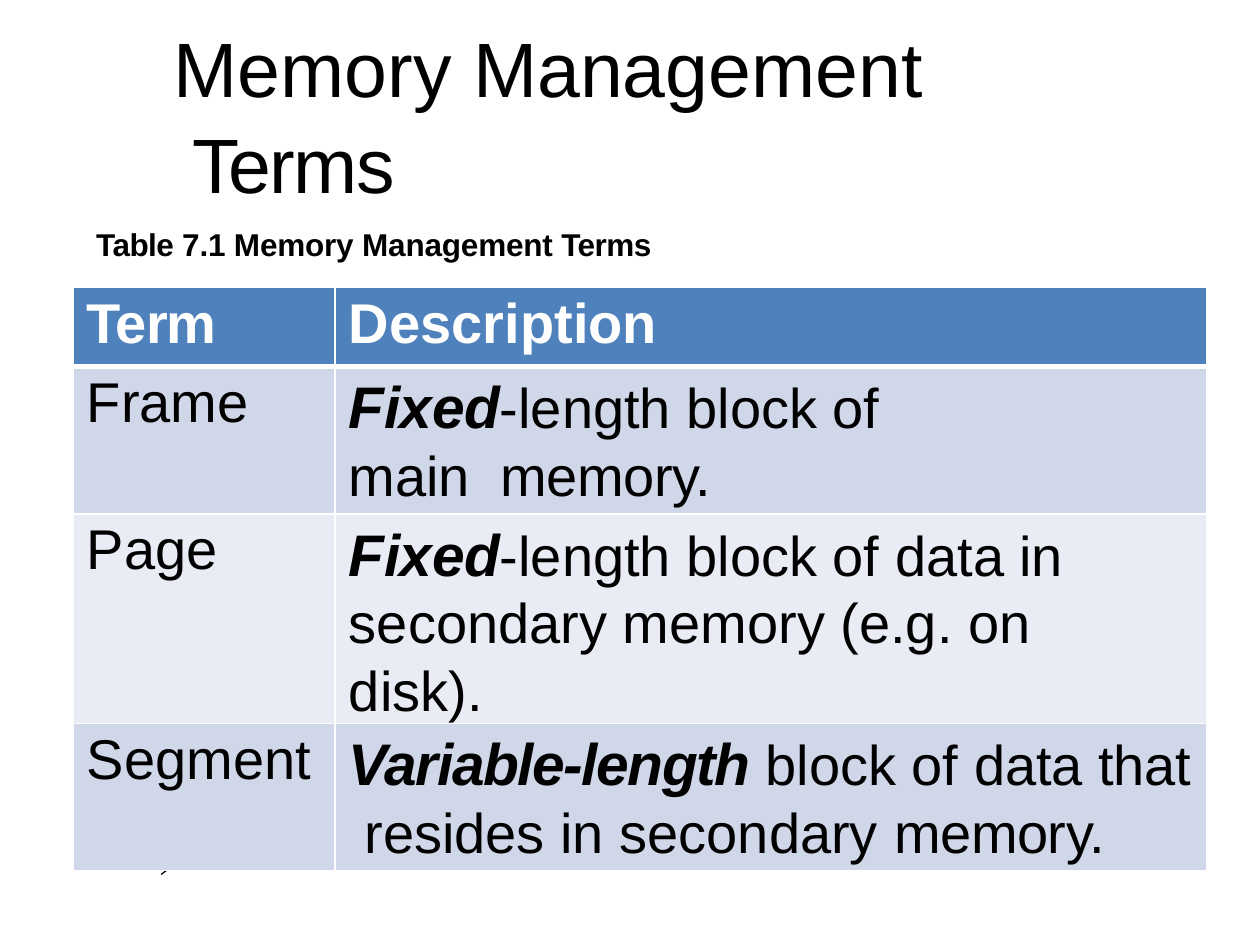
from lxml.etree import SubElement
from pptx import Presentation
from pptx.dml.color import RGBColor
from pptx.enum.text import MSO_ANCHOR, PP_ALIGN
from pptx.oxml.ns import qn
from pptx.util import Inches, Pt

BLACK = RGBColor(0, 0, 0)
WHITE = RGBColor(255, 255, 255)
HEADER_BLUE = RGBColor(0x4F, 0x81, 0xBD)
BAND_DARK = RGBColor(0xD0, 0xD7, 0xE8)
BAND_LIGHT = RGBColor(0xE9, 0xEC, 0xF4)


def add_runs(paragraph, runs, color):
    for text, size, bold, italic, spacing in runs:
        paragraph.add_line_break() if text.startswith("\n") else None
        run = paragraph.add_run()
        run.text = text.lstrip("\n")
        run.font.name = "Arial"
        run.font.size = Pt(size)
        run.font.bold = bold
        run.font.italic = italic
        run.font.color.rgb = color
        run.font._element.set("spc", str(round(spacing * 100)))


def add_text(slide, left, top, width, height, runs):
    shape = slide.shapes.add_textbox(Inches(left), Inches(top), Inches(width), Inches(height))
    frame = shape.text_frame
    frame.word_wrap = True
    frame.margin_left = frame.margin_right = frame.margin_bottom = 0
    frame.margin_top = Inches(0.01)
    paragraph = frame.paragraphs[0]
    paragraph.space_before = Pt(1)
    add_runs(paragraph, runs, BLACK)
    return frame


presentation = Presentation()
presentation.slide_width = Inches(10)
presentation.slide_height = Inches(7.5)
slide = presentation.slides.add_slide(presentation.slide_layouts[6])

curve_points = [
    (1.32, 6.91), (1.37, 6.9), (1.49, 6.9), (4.33, 6.89), (4.53, 6.86), (4.92, 6.84),
    (5.14, 6.81), (5.48, 6.78), (5.98, 6.75), (6.41, 6.73), (7.36, 6.7),
    (8.38, 6.71), (8.56, 6.74), (8.84, 6.76), (9.25, 6.78),
]
builder = slide.shapes.build_freeform(Inches(1.28), Inches(6.94))
builder.add_line_segments([(Inches(x), Inches(y)) for x, y in curve_points], close=False)
curve = builder.convert_to_shape()
curve.shadow.inherit = False
curve.fill.background()
curve.line.color.rgb = BLACK
curve.line.width = Pt(0.75)

title = add_text(slide, 1.38, 0.16, 7.24, 1.5, [
    ("Memory Management", 44, False, False, 0),
    ("\n Terms", 44, False, False, -1),
])
title.vertical_anchor = MSO_ANCHOR.BOTTOM
title.paragraphs[0].line_spacing = 1.04

rows = [
    ([("Term", 32, True, False, -0.6)], [("Description", 32, True, False, 0)], 0),
    ([("Frame", 32, False, False, 0)], [
        ("Fixed", 33.5, True, True, -0.3),
        ("-length block of ", 32, False, False, 0),
        ("main  ", 32, False, False, -0.1),
        ("memory.", 32, False, False, -0.3),
    ], 2),
    ([("Page", 32, False, False, 0)], [
        ("Fixed", 33.5, True, True, -0.3),
        ("-length block of ", 32, False, False, 0),
        ("data ", 32, False, False, -0.1),
        ("in secondary memory (e.g. on disk).", 32, False, False, 0),
    ], 0.7),
    ([("Segment", 32, False, False, 0)], [
        ("Variable-length ", 33.5, True, True, -0.8),
        ("block of ", 32, False, False, 0),
        ("data that", 32, False, False, -0.1),
        ("\n resides in secondary ", 32, False, False, 0),
        ("memory.", 32, False, False, -0.3),
    ], 0),
]
fills = [HEADER_BLUE, BAND_DARK, BAND_LIGHT, BAND_DARK]
heights = [0.63, 1.17, 1.17, 1.17]

table = slide.shapes.add_table(
    4, 2, Inches(0.58), Inches(2.28), Inches(9), Inches(sum(heights))
).table
table.columns[0].width = Inches(2.08)
table.columns[1].width = Inches(6.92)

for row_index, (term, description, right_margin) in enumerate(rows):
    table.rows[row_index].height = Inches(heights[row_index])
    for column_index, runs in enumerate((term, description)):
        is_body = row_index > 0 and column_index == 1
        cell = table.cell(row_index, column_index)
        cell.margin_left = Inches(0.11)
        cell.margin_right = Inches(right_margin) if is_body else 0
        cell.margin_top = Inches(0.06 if is_body else 0.04)
        cell.margin_bottom = 0
        paragraph = cell.text_frame.paragraphs[0]
        paragraph.space_before = Pt(4 if is_body else 2.7)
        if is_body:
            paragraph.line_spacing = Pt(38.4)
        add_runs(paragraph, runs, BLACK if row_index else WHITE)

        properties = cell._tc.get_or_add_tcPr()
        for side in ("L", "R", "T", "B"):
            heavy = (row_index, side) in ((0, "B"), (1, "T"))
            border = SubElement(properties, qn(f"a:ln{side}"), w=str(Pt(3 if heavy else 1)))
            solid = SubElement(border, qn("a:solidFill"))
            SubElement(solid, qn("a:srgbClr"), val=str(WHITE))
        cell.fill.solid()
        cell.fill.fore_color.rgb = fills[row_index]

caption = add_text(slide, 0.67, 1.78, 4.5, 0.33, [
    ("Table ", 18, True, False, -0.3),
    ("7.1 Memory Management ", 18, True, False, -0.1),
    ("Terms", 18, True, False, -0.3),
])
caption.paragraphs[0].alignment = PP_ALIGN.RIGHT

presentation.save("out.pptx")
